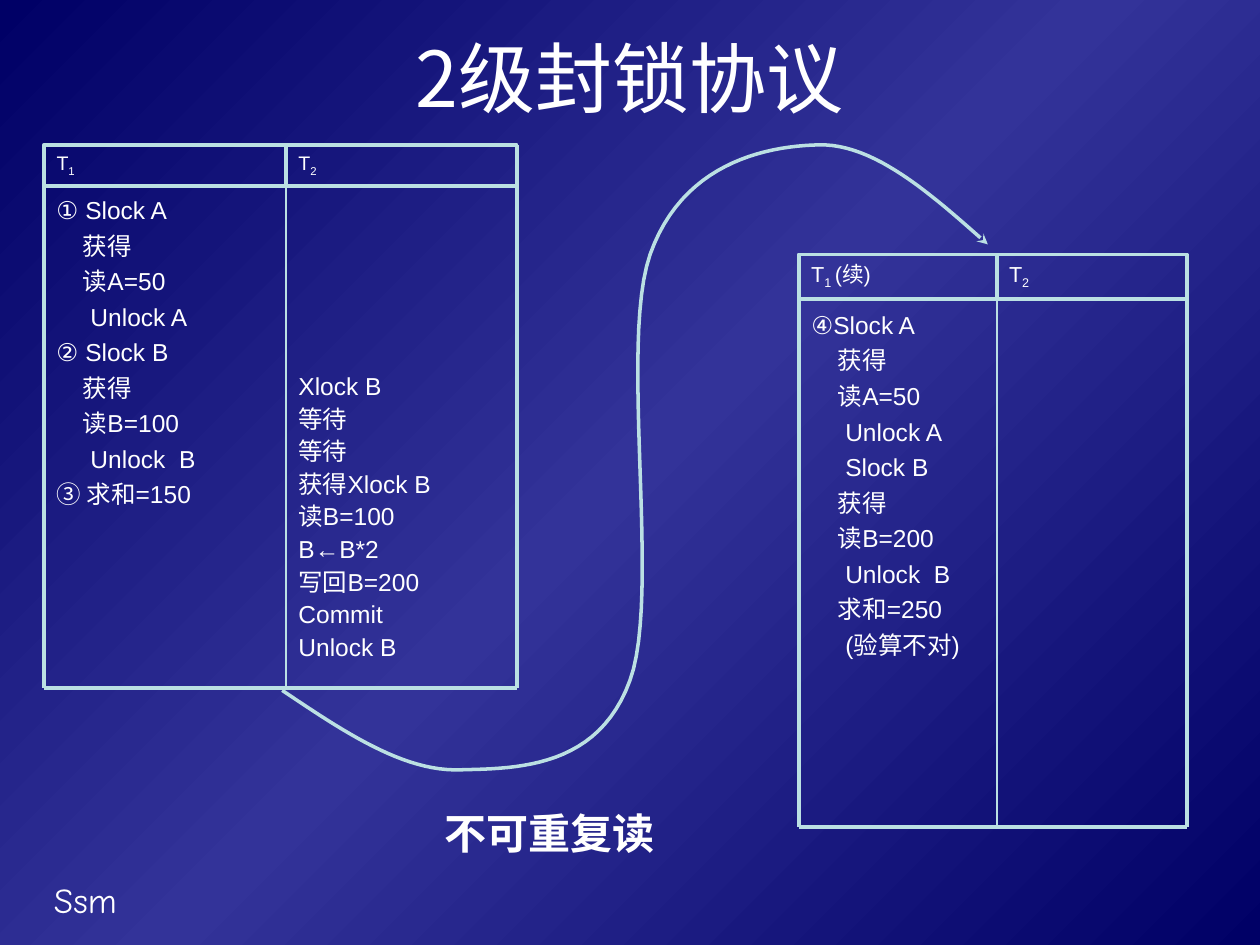
"""Build the slide on the two-level locking protocol and its non-repeatable read."""
from copy import deepcopy

from lxml import etree
from pptx import Presentation
from pptx.dml.color import RGBColor
from pptx.enum.shapes import MSO_CONNECTOR, MSO_SHAPE
from pptx.enum.text import MSO_ANCHOR, PP_ALIGN
from pptx.oxml.ns import qn
from pptx.util import Inches, Pt

STRAIGHT, RECTANGLE = MSO_CONNECTOR.STRAIGHT, MSO_SHAPE.RECTANGLE
LEFT, CENTER = PP_ALIGN.LEFT, PP_ALIGN.CENTER
TOP, MIDDLE = MSO_ANCHOR.TOP, MSO_ANCHOR.MIDDLE

THEME = {
    "text": RGBColor(0xFF, 0xFF, 0xFF),
    "rule": RGBColor(0xBB, 0xE0, 0xE3),
    "background": [(0, "000066"), (0.5, "333399"), (1, "000066")],
    "east_asian": "Noto Sans CJK SC",
    "title": {"name": "Noto Sans CJK SC", "size": Pt(44)},
    "caption": {"name": "Times New Roman", "size": Pt(24), "bold": True},
    "footer": {"name": "Comic Neue", "size": Pt(20)},
    "step": {"name": "Arial", "size": Pt(14)},
    "outer_rule": Pt(2.25),
    "inner_rule": Pt(1),
    "arrow": Pt(2),
    "step_gap": Pt(3.5),
}

LABELS = [
    ("2级封锁协议", "title", (0.5, 0.17, 9, 0.87), CENTER, MIDDLE, True),
    ("不可重复读", "caption", (2.95, 6.27, 2.83, 0.67), CENTER, MIDDLE, False),
    ("Ssm", "footer", (0.33, 6.92, 2.08, 0.44), LEFT, TOP, True),
]

NONE, HAN, LATIN = 0, 0.21, 0.27

SCHEDULES = [
    {
        "columns": (0.35, 2.27, 4.1),
        "rows": (1.15, 1.48, 5.46),
        "header_size": Pt(11.2),
        "headers": [("T", "1", ""), ("T", "2", "")],
        "steps": [
            {
                "box": (0.35, 1.5, 1.83, 3.98), "inset": 0.05, "pitch": Pt(16.8),
                "lines": [
                    ("①\u00a0Slock A", NONE), ("获得", HAN), ("读A=50", HAN),
                    ("Unlock A", LATIN), ("② Slock B", NONE), ("获得", HAN),
                    ("读B=100", HAN), ("Unlock  B", LATIN), ("③ 求和=150", NONE),
                ],
            },
            {
                "box": (2.27, 1.5, 1.92, 3.98), "inset": 1.47, "pitch": Pt(15.1),
                "lines": [
                    ("Xlock B", NONE), ("等待", NONE), ("等待", NONE),
                    ("获得Xlock B", NONE), ("读B=100", NONE), ("B←B*2", NONE),
                    ("写回B=200", NONE), ("Commit", NONE), ("Unlock B", NONE),
                ],
            },
        ],
    },
    {
        "columns": (6.34, 7.91, 9.42),
        "rows": (2.02, 2.37, 6.56),
        "header_size": Pt(12.4),
        "headers": [("T", "1 ", "(续)"), ("T", "2", "")],
        "steps": [
            {
                "box": (6.34, 2.24, 1.51, 4.2), "inset": 0.22, "pitch": Pt(16.8),
                "lines": [
                    ("④Slock A", NONE), ("获得", HAN), ("读A=50", HAN),
                    ("Unlock A", LATIN), ("Slock B", LATIN), ("获得", HAN),
                    ("读B=200", HAN), ("Unlock  B", LATIN), ("求和=250", HAN),
                    ("(验算不对)", LATIN),
                ],
            },
        ],
    },
]

ARROW_START = (2.24, 5.48)
ARROW_CURVES = [
    ((2.72, 5.8), (3.2, 6.13), (3.66, 6.11)),
    ((4.12, 6.1), (4.75, 6.09), (5, 5.4)),
    ((5.25, 4.72), (4.91, 2.73), (5.16, 2.02)),
    ((5.41, 1.31), (6.05, 1.16), (6.5, 1.15)),
    ((6.94, 1.14), (7.39, 1.54), (7.84, 1.94)),
]
CURVE_STEPS = 24


def apply(target, values):
    for name, value in values.items():
        setattr(target, name, value)


def add_run(paragraph, text, style, baseline=0):
    run = paragraph.add_run()
    run.text = text
    apply(run.font, style)
    run.font.color.rgb = THEME["text"]
    properties = run.font._element
    if baseline:
        properties.set("baseline", str(baseline))
    latin = properties.find(qn("a:latin"))
    east_asian = etree.Element(qn("a:ea"), typeface=THEME["east_asian"])
    latin.addnext(east_asian)


def add_text_frame(shapes, box, **values):
    frame = shapes.add_textbox(*map(Inches, box)).text_frame
    apply(frame, {"word_wrap": True, **values})
    return frame


def add_steps(shapes, steps):
    frame = add_text_frame(shapes, steps["box"], margin_top=Inches(steps["inset"]), margin_right=0)
    for index, (text, indent) in enumerate(steps["lines"]):
        paragraph = frame.add_paragraph() if index else frame.paragraphs[0]
        paragraph.line_spacing = steps["pitch"]
        if index:
            paragraph.space_before = THEME["step_gap"]
        if indent:
            paragraph._p.get_or_add_pPr().set("marL", str(Inches(indent)))
        add_run(paragraph, text, THEME["step"])


def add_header(shapes, parts, box, size):
    cell = shapes.add_shape(RECTANGLE, *map(Inches, box))
    cell.shadow.inherit = False
    cell.fill.background()
    apply(cell.line, {"width": THEME["outer_rule"]})
    cell.line.color.rgb = THEME["rule"]
    apply(cell.text_frame, {"vertical_anchor": TOP, "word_wrap": True})
    paragraph = cell.text_frame.paragraphs[0]
    paragraph.alignment = LEFT
    for text, baseline in zip(parts, (0, -25000, 0)):
        if text:
            add_run(paragraph, text, {**THEME["step"], "size": size}, baseline)


def add_rule(shapes, start, end, width):
    rule = shapes.add_connector(STRAIGHT, *map(Inches, start + end))
    rule.line.width = width
    rule.line.color.rgb = THEME["rule"]
    etree.SubElement(rule._element.spPr, qn("a:effectLst"))


def add_schedule(slide, schedule):
    shapes = slide.shapes.add_group_shape().shapes
    columns, rows = schedule["columns"], schedule["rows"]
    for steps in schedule["steps"]:
        add_steps(shapes, steps)
    for parts, left, right in zip(schedule["headers"], columns, columns[1:]):
        box = (left, rows[0], right - left, rows[1] - rows[0])
        add_header(shapes, parts, box, schedule["header_size"])
    widths = [THEME[name] for name in ("outer_rule", "inner_rule", "outer_rule")]
    for y, width in zip(rows, widths):
        add_rule(shapes, (columns[0], y), (columns[-1], y), width)
    for x, width in zip(columns, widths):
        add_rule(shapes, (x, rows[0]), (x, rows[-1]), width)


def curve_points(start, curves):
    for first, second, end in curves:
        for step in range(1, CURVE_STEPS + 1):
            t = step / CURVE_STEPS
            weights = ((1 - t) ** 3, 3 * t * (1 - t) ** 2, 3 * t * t * (1 - t), t ** 3)
            knots = (start, first, second, end)
            yield tuple(Inches(sum(w * k[axis] for w, k in zip(weights, knots))) for axis in (0, 1))
        start = end


def add_arrow(slide):
    builder = slide.shapes.build_freeform(*map(Inches, ARROW_START))
    builder.add_line_segments(curve_points(ARROW_START, ARROW_CURVES), close=False)
    arrow = builder.convert_to_shape()
    arrow.shadow.inherit = False
    arrow.fill.background()
    arrow.line.width = THEME["arrow"]
    arrow.line.color.rgb = THEME["rule"]
    etree.SubElement(arrow.line._get_or_add_ln(), qn("a:tailEnd"), type="stealth")


def paint_background(slide):
    fill = slide.background.fill
    fill.gradient()
    fill.gradient_angle = 315
    stops = next(slide._element.iter(qn("a:gsLst")))
    stops.append(deepcopy(stops[0]))
    for stop, (position, color) in zip(fill.gradient_stops, THEME["background"]):
        stop.position = position
        stop.color.rgb = RGBColor.from_string(color)


def main():
    presentation = Presentation()
    apply(presentation, {"slide_width": Inches(10), "slide_height": Inches(7.5)})
    slide = presentation.slides.add_slide(presentation.slide_layouts[6])
    paint_background(slide)
    for text, style, box, alignment, anchor, wrap in LABELS:
        frame = add_text_frame(slide.shapes, box, vertical_anchor=anchor, word_wrap=wrap)
        frame.paragraphs[0].alignment = alignment
        add_run(frame.paragraphs[0], text, THEME[style])
    for schedule in SCHEDULES:
        add_schedule(slide, schedule)
    add_arrow(slide)
    presentation.save("out.pptx")


if __name__ == "__main__":
    main()
